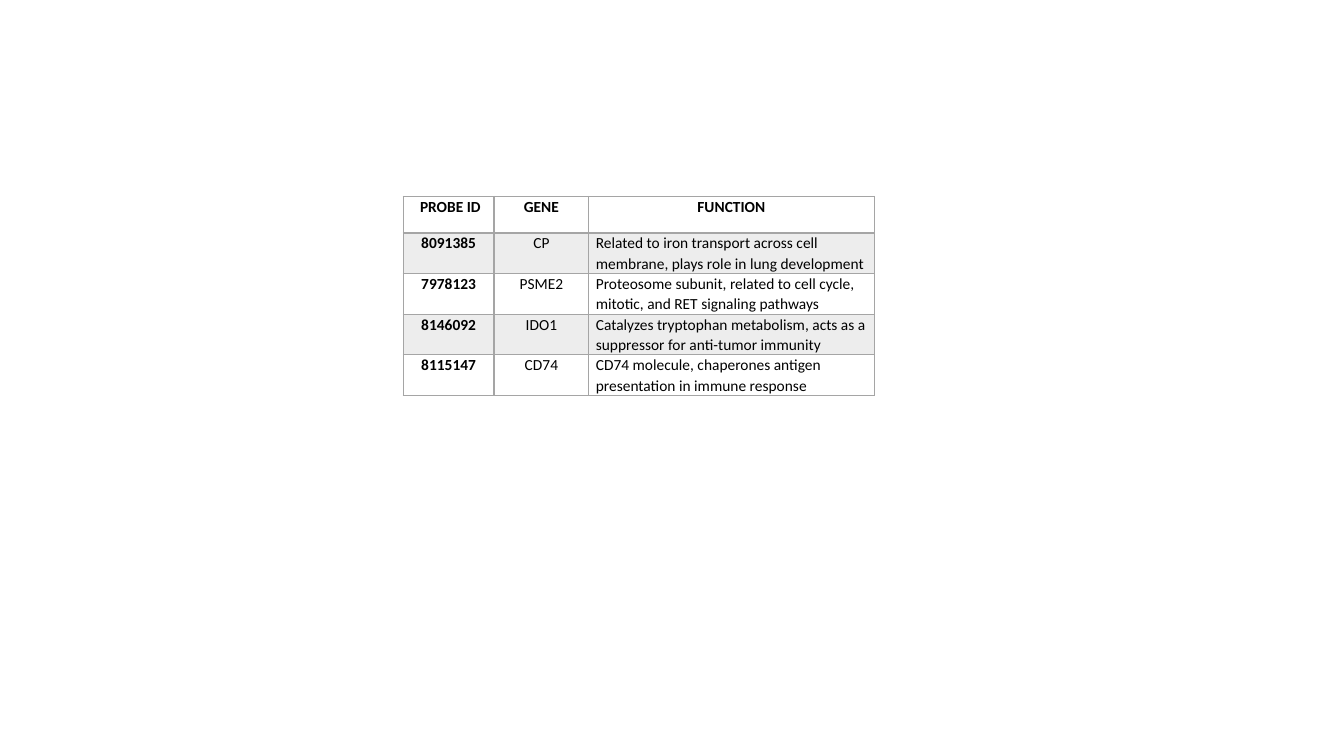
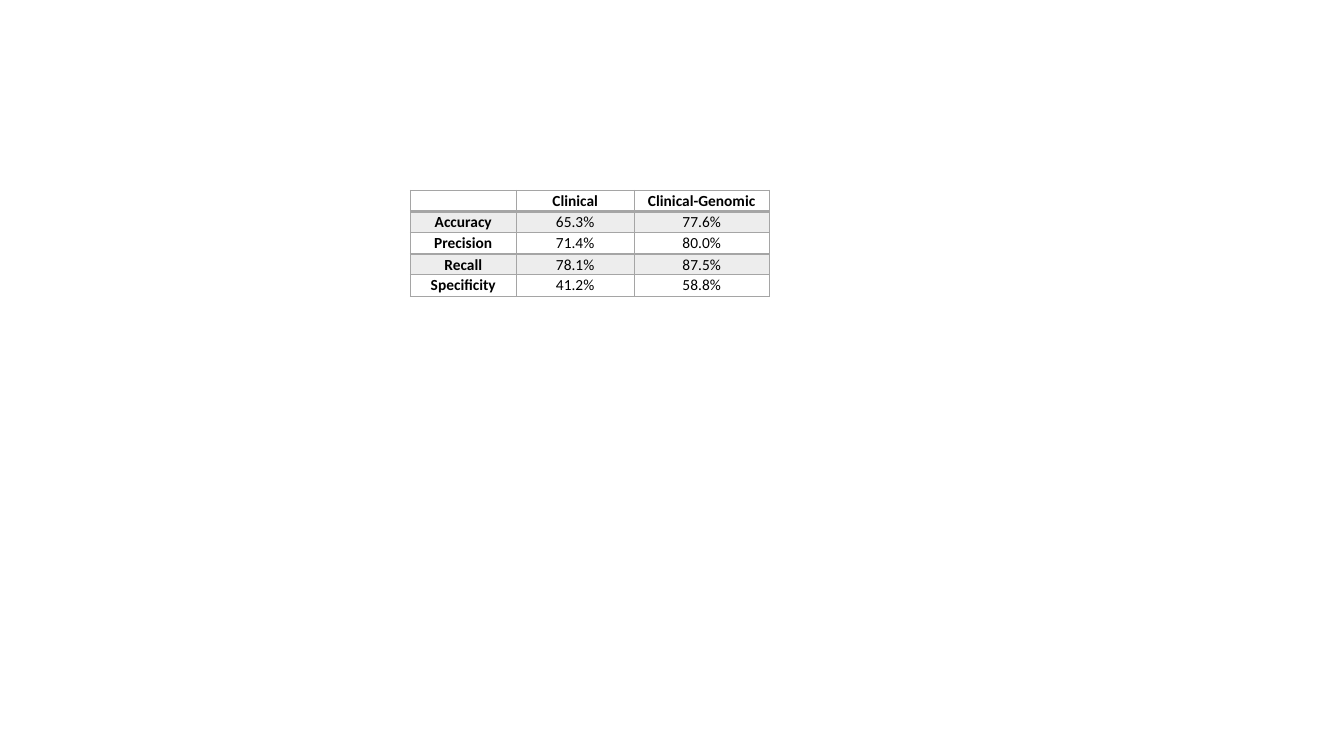
import pptx
import pptx.dml.color
import pptx.enum.text
import pptx.oxml.ns
import pptx.util
from lxml import etree

Inches = pptx.util.Inches
Pt = pptx.util.Pt
qn = pptx.oxml.ns.qn
ALIGN = pptx.enum.text.PP_ALIGN

GREY = "A5A5A5"
BLACK = "000000"
BAND_OPACITY = 20
TEXT_SIZE = 11
RULE_WIDTH = 1
HEADER_RULE_WIDTH = 2

CELL_FORMAT = {
    "margin_left": Inches(0.07),
    "margin_right": Inches(0.07),
    "margin_top": 0,
    "margin_bottom": 0,
}
FONT_FORMAT = {"name": "Calibri", "size": Pt(TEXT_SIZE)}
TABLE_FORMAT = {"first_row": False, "horz_banding": False}

GENES = {
    "box": (4, 1.95, 4.67, 1.9),
    "column_widths": (0.9, 0.94, 2.83),
    "row_heights": (0.36, 0.27, 0.27, 0.27, 0.27),
    "column_alignments": (ALIGN.CENTER, ALIGN.CENTER, ALIGN.LEFT),
    "rows": (
        (" PROBE ID", "GENE", "FUNCTION"),
        ("8091385", "CP",
         "Related to iron transport across cell membrane, plays role in lung development"),
        ("7978123", "PSME2",
         "Proteosome subunit, related to cell cycle, mitotic, and RET signaling pathways"),
        ("8146092", "IDO1",
         "Catalyzes tryptophan metabolism, acts as a suppressor for anti-tumor immunity"),
        ("8115147", "CD74",
         "CD74 molecule, chaperones antigen presentation in immune response"),
    ),
}
SCORES = {
    "box": (4.07, 1.89, 3.55, 1.06),
    "column_widths": (1.05, 1.17, 1.34),
    "row_heights": (0.21, 0.21, 0.21, 0.2, 0.22),
    "column_alignments": (ALIGN.CENTER,) * 3,
    "rows": (
        ("", "Clinical", "Clinical-Genomic"),
        ("Accuracy", "65.3%", "77.6%"),
        ("Precision", "71.4%", "80.0%"),
        ("Recall", "78.1%", "87.5%"),
        ("Specificity", "41.2%", "58.8%"),
    ),
}


def rgb(value):
    return pptx.dml.color.RGBColor.from_string(value)


def apply_format(target, values):
    for attribute, value in values.items():
        setattr(target, attribute, value)


def draw_borders(cell, is_header):
    """Rule all four sides, with a heavier line below a header cell."""
    properties = cell._tc.get_or_add_tcPr()
    for side in ("L", "R", "T", "B"):
        heavy = is_header and side == "B"
        width = Pt(HEADER_RULE_WIDTH if heavy else RULE_WIDTH)
        line = etree.SubElement(properties, qn(f"a:ln{side}"), w=str(width))
        fill = etree.SubElement(line, qn("a:solidFill"))
        etree.SubElement(fill, qn("a:srgbClr"), val=GREY)


def fill_band(cell, is_banded):
    if not is_banded:
        cell.fill.background()
        return
    cell.fill.solid()
    cell.fill.fore_color.rgb = rgb(GREY)
    color = cell._tc.tcPr.find(f"{qn('a:solidFill')}/{qn('a:srgbClr')}")
    etree.SubElement(color, qn("a:alpha"), val=str(BAND_OPACITY * 1000))


def write_text(cell, text, alignment, bold):
    paragraph = cell.text_frame.paragraphs[0]
    apply_format(paragraph, {"alignment": alignment, "line_spacing": 1.07})
    if not text:
        # An empty cell still needs the small size, or its row grows.
        etree.SubElement(paragraph._p, qn("a:endParaRPr"), sz=str(TEXT_SIZE * 100))
        return
    run = paragraph.add_run()
    run.text = text
    apply_format(run.font, {**FONT_FORMAT, "bold": bold})
    run.font.color.rgb = rgb(BLACK)


def add_grid_table(slide, box, column_widths, row_heights, column_alignments, rows):
    """Place a ruled table with a bold header row, bold first column and grey bands."""
    frame = slide.shapes.add_table(len(rows), len(column_widths), *map(Inches, box))
    table = frame.table
    apply_format(table, TABLE_FORMAT)
    for column, width in zip(table.columns, column_widths):
        column.width = Inches(width)
    for row, height in zip(table.rows, row_heights):
        row.height = Inches(height)
    frame.width, frame.height = map(Inches, box[2:])

    for row_index, texts in enumerate(rows):
        is_header = row_index == 0
        for column_index, text in enumerate(texts):
            cell = table.cell(row_index, column_index)
            apply_format(cell, CELL_FORMAT)
            draw_borders(cell, is_header)
            fill_band(cell, row_index % 2 == 1)
            alignment = ALIGN.CENTER if is_header else column_alignments[column_index]
            write_text(cell, text, alignment, is_header or column_index == 0)


def main():
    presentation = pptx.Presentation()
    apply_format(presentation, {"slide_width": Inches(13.33), "slide_height": Inches(7.5)})
    blank_layout = presentation.slide_layouts[6]
    for content in (GENES, SCORES):
        add_grid_table(presentation.slides.add_slide(blank_layout), **content)
    presentation.save("out.pptx")


if __name__ == "__main__":
    main()
